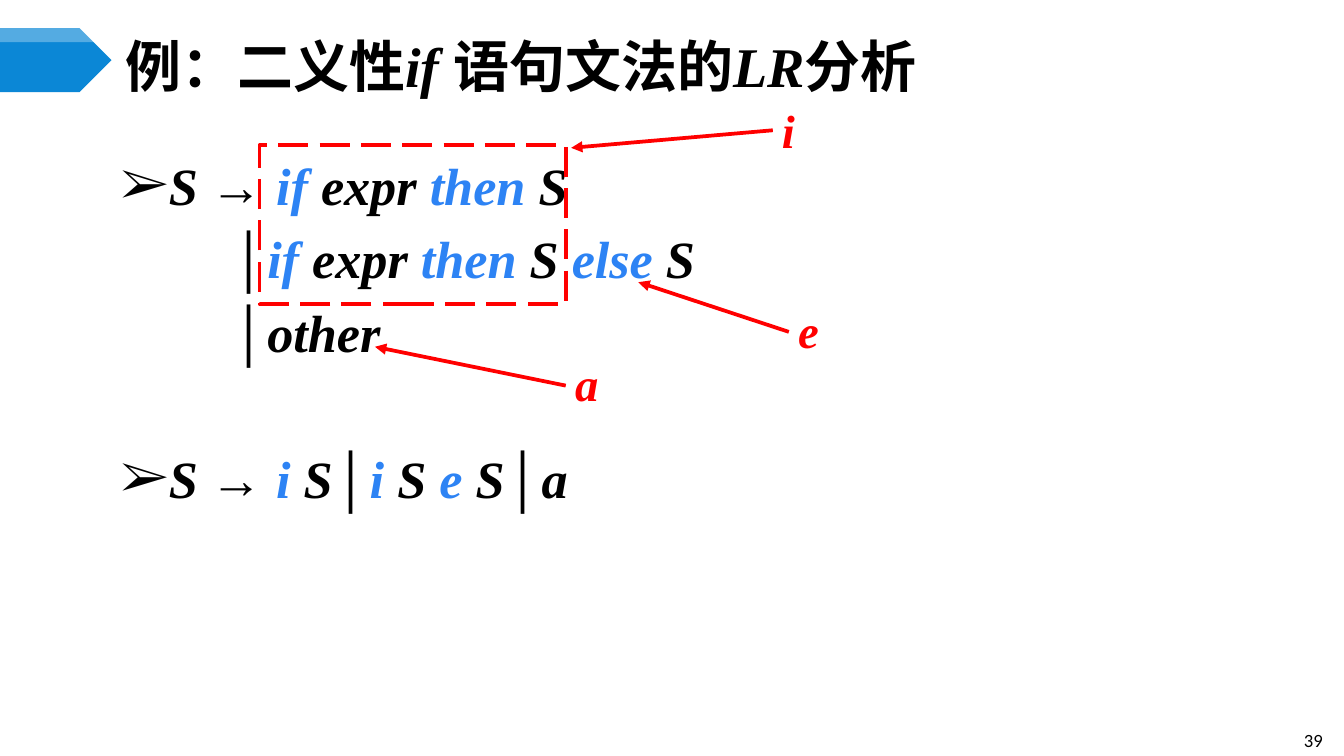
from lxml.etree import SubElement
from pptx import Presentation
from pptx.dml.color import RGBColor
from pptx.enum.dml import MSO_LINE
from pptx.enum.shapes import MSO_CONNECTOR, MSO_SHAPE
from pptx.enum.text import MSO_ANCHOR, MSO_AUTO_SIZE, PP_ALIGN
from pptx.oxml.ns import qn
from pptx.util import Pt

SERIF, HAN = "Times New Roman", "Noto Sans CJK SC"
BLACK, BLUE, RED = "000000", "2D83F4", "FF0000"
PITCH = 39.24


def rgb(value):
    return RGBColor.from_string(value)


def place(sp, left, top, width, height):
    sp.left, sp.top, sp.width, sp.height = Pt(left), Pt(top), Pt(width), Pt(height)


def add_run(p, text, size, color=BLACK, italic=False, bold=True, font=SERIF, east=SERIF):
    r = p.add_run()
    r.text = text
    f = r.font
    f.size, f.bold, f.italic, f.name = Pt(size), bold, italic, font
    f.color.rgb = rgb(color)
    SubElement(r._r.get_or_add_rPr(), qn("a:ea"), typeface=east)


def add_text(s, left, top, width, height, wrap=True, anchor=MSO_ANCHOR.MIDDLE):
    tf = s.shapes.add_textbox(Pt(left), Pt(top), Pt(width), Pt(height)).text_frame
    tf.word_wrap, tf.vertical_anchor = wrap, anchor
    return tf


def add_plate(s, top, height, color, adjust, alpha=None):
    sp = s.shapes.add_shape(MSO_SHAPE.PENTAGON, 0, Pt(top), Pt(59.8), Pt(height))
    sp.adjustments[0] = adjust
    sp.shadow.inherit = False
    sp.fill.solid()
    sp.fill.fore_color.rgb = rgb(color)
    sp.line.fill.background()
    if alpha:
        clr = sp._element.spPr.find(".//" + qn("a:srgbClr"))
        SubElement(clr, qn("a:alpha"), val=str(alpha * 1000))


def add_title(s):
    sp = s.shapes.title
    place(sp, 59.8, 20.9, 624, 28)
    tf = sp.text_frame
    tf.auto_size, tf.vertical_anchor = MSO_AUTO_SIZE.NONE, MSO_ANCHOR.MIDDLE
    p = tf.paragraphs[0]
    p.alignment = PP_ALIGN.LEFT
    for text, font in (("例：", SERIF), ("二义性", HAN), ("if ", SERIF),
                       ("语句文法的", HAN), ("LR", SERIF), ("分析", HAN)):
        add_run(p, text, 30, italic=text.isascii(), font=font, east=HAN)


def set_indent(p, left, first, bullet=None):
    pPr = p._p.get_or_add_pPr()
    pPr.set("marL", str(Pt(left)))
    pPr.set("indent", str(Pt(first)))
    if bullet:
        SubElement(SubElement(pPr, qn("a:buClr")), qn("a:srgbClr"), val=BLACK)
        SubElement(pPr, qn("a:buFont"), typeface=SERIF)
        SubElement(pPr, qn("a:buChar"), char=bullet)


def add_grammar(s):
    """Write the productions; the listed terminals are blue, symbols upright."""
    rules = [
        (["S ", "→ ", "if ", "expr ", "then ", "S"], 0),
        (["│", "if ", "expr ", "then ", "S ", "else ", "S"], 0),
        (["│", "other"], 0),
        (["S ", "→ ", "i ", "S", "│", "i ", "S ", "e ", "S", "│", "a"], PITCH),
    ]
    terminals = {"if", "then", "else", "i", "e"}
    tf = add_text(s, 57.6, 73, 535, 254, anchor=MSO_ANCHOR.TOP)
    for n, (tokens, gap) in enumerate(rules):
        p = tf.add_paragraph() if n else tf.paragraphs[0]
        p.line_spacing, p.space_before = Pt(PITCH), Pt(gap)
        if tokens[0] == "│":
            set_indent(p, 58.7, 0)
        else:
            set_indent(p, 21.6, -21.6, "➢")
        for token in tokens:
            name = token.strip()
            add_run(p, token, 28, BLUE if name in terminals else BLACK,
                    italic=name not in "→│")


def add_frame(s):
    sp = s.shapes.add_shape(MSO_SHAPE.RECTANGLE, Pt(139), Pt(77.8), Pt(164.2), Pt(85))
    sp.shadow.inherit = False
    sp.fill.background()
    sp.line.color.rgb = rgb(RED)
    sp.line.width, sp.line.dash_style = Pt(2), MSO_LINE.LONG_DASH


def add_callout(s, text, left, top, start, end):
    """Add a red arrow and the short symbol it comes from."""
    line = s.shapes.add_connector(MSO_CONNECTOR.STRAIGHT, *map(Pt, start + end))
    line.line.color.rgb = rgb(RED)
    line.line.width = Pt(2)
    SubElement(line.line._get_or_add_ln(), qn("a:tailEnd"), type="triangle")
    SubElement(line._element.spPr, qn("a:effectLst"))
    p = add_text(s, left, top, 33.8, 22.3, wrap=False).paragraphs[0]
    p.alignment = PP_ALIGN.CENTER
    add_run(p, text, 25, RED, italic=True)


def add_page_number(s):
    p = add_text(s, 684, 389.5, 31.7, 13.7).paragraphs[0]
    p.alignment = PP_ALIGN.RIGHT
    add_run(p, "39", 10, bold=False, font="Calibri")


def main():
    prs = Presentation()
    prs.slide_width, prs.slide_height = Pt(720), Pt(405)
    s = prs.slides.add_slide(prs.slide_layouts[5])

    # Heading with its marker
    add_plate(s, 15.1, 34.2, "0B87D6", 0.5)
    add_plate(s, 15.1, 7.4, "FFFFFF", 0, alpha=30)
    add_title(s)

    # Grammar and the shared prefix
    add_grammar(s)
    add_frame(s)

    # Abbreviations
    add_callout(s, "i", 405.4, 58.5, (414, 69.8), (306, 79.2))
    add_callout(s, "e", 416.2, 165.6, (422.6, 177.8), (342, 151.2))
    add_callout(s, "a", 297.4, 193.8, (303.1, 206.6), (200.9, 185.8))

    add_page_number(s)
    prs.save("out.pptx")


if __name__ == "__main__":
    main()
